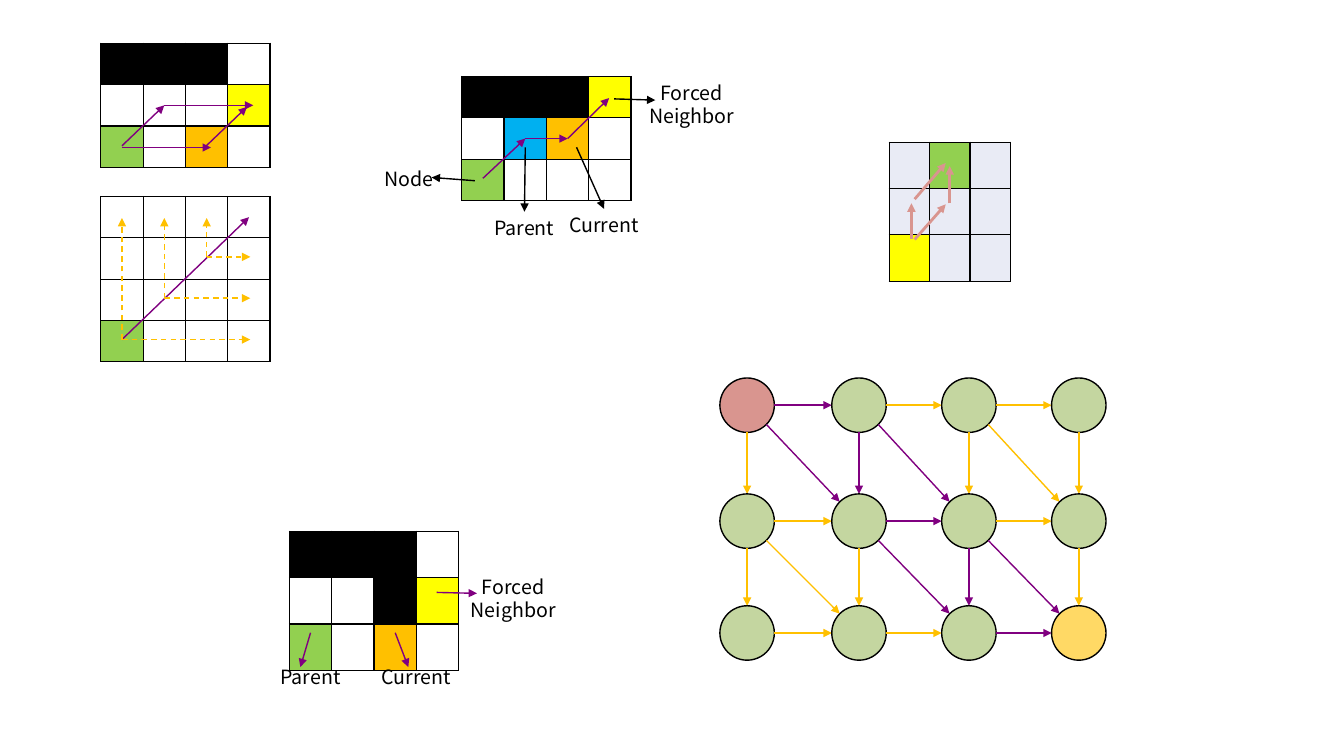
"""Build a slide of grid search diagrams: jumps, forced neighbors and a node graph."""
from lxml import etree
from pptx import Presentation
from pptx.dml.color import RGBColor
from pptx.enum.dml import MSO_LINE
from pptx.enum.shapes import MSO_CONNECTOR, MSO_SHAPE
from pptx.enum.text import MSO_AUTO_SIZE, PP_ALIGN
from pptx.oxml import parse_xml
from pptx.oxml.ns import nsdecls, qn
from pptx.util import Inches, Pt

STRAIGHT = MSO_CONNECTOR.STRAIGHT
CIRCLE = MSO_SHAPE.OVAL
DASH = MSO_LINE.DASH
CENTER = PP_ALIGN.CENTER
GROW = MSO_AUTO_SIZE.SHAPE_TO_FIT_TEXT

BLACK = RGBColor(0x00, 0x00, 0x00)
WHITE = RGBColor(0xFF, 0xFF, 0xFF)
GREEN = RGBColor(0x92, 0xD0, 0x50)
YELLOW = RGBColor(0xFF, 0xFF, 0x00)
GOLD = RGBColor(0xFF, 0xC0, 0x00)
BLUE = RGBColor(0x00, 0xB0, 0xF0)
PALE = RGBColor(0xE9, 0xEB, 0xF5)
PURPLE = RGBColor(0x80, 0x00, 0x80)
PINK = RGBColor(0xD9, 0x95, 0x8F)
SAGE = RGBColor(0xC4, 0xD6, 0xA0)
AMBER = RGBColor(0xFF, 0xD9, 0x65)

CELL_FILLS = {"#": BLACK, ".": WHITE, "g": GREEN, "y": YELLOW,
              "o": GOLD, "b": BLUE, "p": PALE}
FONT = "Noto Sans CJK SC"

prs = Presentation()
prs.slide_width, prs.slide_height = Inches(13.33), Inches(7.5)
slide = prs.slides.add_slide(prs.slide_layouts[6])
shapes = slide.shapes


def add_arrow(start, end, color, width=1, dash=None):
    """Draw a straight arrow between two points in inches."""
    arrow = shapes.add_connector(STRAIGHT, *(Inches(v) for v in (*start, *end)))
    arrow.line.color.rgb = color
    arrow.line.width = Pt(width)
    if dash:
        arrow.line.dash_style = dash
    etree.SubElement(arrow.line._get_or_add_ln(), qn("a:tailEnd"), type="triangle")
    etree.SubElement(arrow._element.spPr, qn("a:effectLst"))


def add_grid(left, top, column, row, cells, arrows):
    """Draw a bordered grid and its arrows, given in columns and rows."""
    table = shapes.add_table(len(cells), len(cells[0]), Inches(left), Inches(top),
                             Inches(column * len(cells[0])),
                             Inches(row * len(cells))).table
    table.first_row = table.horz_banding = False
    for r, codes in enumerate(cells):
        table.rows[r].height = Inches(row)
        for c, code in enumerate(codes):
            cell = table.cell(r, c)
            for side in ("lnL", "lnR", "lnT", "lnB"):
                cell._tc.get_or_add_tcPr().append(parse_xml(
                    f'<a:{side} {nsdecls("a")} w="12700"><a:solidFill>'
                    f'<a:srgbClr val="{BLACK}"/></a:solidFill></a:{side}>'))
            cell.fill.solid()
            cell.fill.fore_color.rgb = CELL_FILLS[code]
    for start, end, *style in arrows:
        add_arrow(*((left + x * column, top + y * row) for x, y in (start, end)), *style)


add_grid(8.82, 1.41, 0.4, 0.46, ["pgp", "ppp", "ypp"], [
    ((0.63, 1.23), (1.4, 0.45), PINK, 2),
    ((1.5, 1.32), (1.5, 0.52), PINK, 2),
    ((0.55, 2.1), (0.55, 1.32), PINK, 2),
    ((0.63, 2.1), (1.4, 1.34), PINK, 2),
])
add_grid(2.87, 5.27, 0.42, 0.46, ["###.", "..#y", "g.o."], [
    ((3.48, 1.32), (4.43, 1.34), PURPLE),
    ((2.5, 2.19), (2.81, 2.93), PURPLE),
    ((0.5, 2.19), (0.26, 2.93), PURPLE),
])
add_grid(1, 0.43, 0.42, 0.41, ["###.", "...y", "g.o."], [
    ((0.5, 2.48), (1.5, 1.5), PURPLE),
    ((1.5, 1.5), (3.6, 1.5), PURPLE),
    ((0.5, 2.52), (2.6, 2.52), PURPLE),
    ((2.45, 2.52), (3.45, 1.54), PURPLE),
])
add_grid(4.58, 0.76, 0.42, 0.41, ["###y", ".bo.", "g..."], [
    ((0.5, 2.46), (1.5, 1.5), PURPLE),
    ((1.5, 1.5), (2.5, 1.5), PURPLE),
    ((2.5, 1.5), (3.48, 0.52), PURPLE),
    ((3.6, 0.54), (4.57, 0.57), BLACK),
    ((2.71, 1.71), (3.36, 3.2), BLACK),
    ((1.5, 1.71), (1.48, 3.27), BLACK),
    ((0.31, 2.52), (-0.71, 2.44), BLACK),
])
jumps = [((0.5, 3.46), (3.5, 0.5), PURPLE)]
for step in range(3):
    turn = (0.5 + step, 3.46 - step)
    jumps.append((turn, (3.53, turn[1]), GOLD, 1, DASH))
    jumps.append((turn, (turn[0], 0.52), GOLD, 1, DASH))
add_grid(1, 1.95, 0.42, 0.41, ["....", "....", "....", "g..."], jumps)

NODE_X = [7.41, 8.52, 9.61, 10.7]
NODE_Y = [4.02, 5.17, 6.28]
RADIUS = 0.27
DIAGONAL = RADIUS * 0.71
NODE_FILLS = {(0, 0): PINK, (2, 3): AMBER}
LINKS = [(0, 1, RADIUS, 0), (1, 0, 0, RADIUS), (1, 1, DIAGONAL, DIAGONAL)]
for r, y in enumerate(NODE_Y):
    for c, x in enumerate(NODE_X):
        node = shapes.add_shape(CIRCLE, Inches(x - RADIUS), Inches(y - RADIUS),
                                Inches(2 * RADIUS), Inches(2 * RADIUS))
        node.shadow.inherit = False
        node.fill.solid()
        node.fill.fore_color.rgb = NODE_FILLS.get((r, c), SAGE)
        node.line.color.rgb = BLACK
        node.line.width = Pt(1)
        for down, right, dx, dy in LINKS:
            next_r, next_c = r + down, c + right
            if next_r < len(NODE_Y) and next_c < len(NODE_X):
                on_route = c - r in (0, 1) and next_c - next_r in (0, 1)
                add_arrow((x + dx, y + dy), (NODE_X[next_c] - dx, NODE_Y[next_r] - dy),
                          PURPLE if on_route else GOLD)

LABELS = [
    ("Parent", 2.59, 6.55, 0.98, 0.34),
    ("Current", 3.64, 6.55, 0.98, 0.34),
    ("Forced Neighbor", 4.5, 5.66, 1.18, 0.57),
    ("Parent", 4.71, 2.1, 0.98, 0.34),
    ("Current", 5.5, 2.07, 0.98, 0.34),
    ("Forced Neighbor", 6.27, 0.76, 1.18, 0.57),
    ("Node", 3.69, 1.61, 0.73, 0.34),
]
for wording, *box in LABELS:
    frame = shapes.add_textbox(*(Inches(v) for v in box)).text_frame
    frame.word_wrap = True
    frame.auto_size = GROW
    paragraph = frame.paragraphs[0]
    paragraph.alignment = CENTER
    paragraph.line_spacing = Pt(16.5)
    run = paragraph.add_run()
    run.text = wording
    run.font.name = FONT
    run.font.size = Pt(14)
    run.font.color.rgb = BLACK

prs.save("out.pptx")
